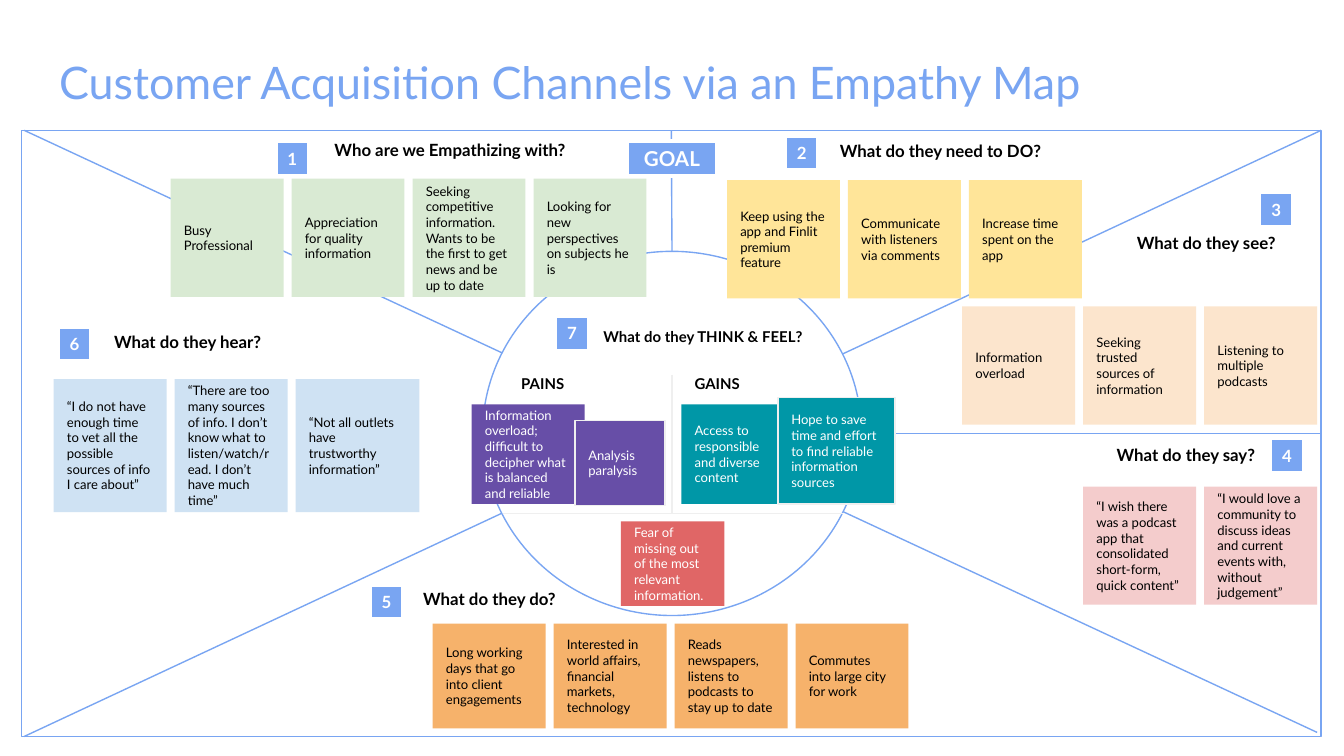
import pptx
import pptx.dml.color
import pptx.enum.shapes
import pptx.enum.text
import pptx.oxml.ns
import pptx.util
from lxml import etree

Inches = pptx.util.Inches
Pt = pptx.util.Pt
SHAPE = pptx.enum.shapes.MSO_SHAPE
ANCHOR = pptx.enum.text.MSO_ANCHOR
ALIGN = pptx.enum.text.PP_ALIGN

COLORS = {
    "blue": "79A5F2", "white": "FFFFFF", "black": "000000", "gray": "EFEFEF",
    "green": "D9EAD3", "yellow": "FFE599", "peach": "FCE5CD", "pink": "F4CCCC",
    "sky": "CFE2F3", "orange": "F6B26B", "red": "E06666", "teal": "0097A7",
    "purple": "674EA7",
}
FONT = "Lato"
FRAME = (0.16, 0.97, 9.67, 4.51)
CIRCLE = (3.59, 1.87, 2.82, 2.71)
CARD_W = 0.84
CARD_PITCH = 0.9

REGIONS = [
    {"box": (1.27, 1.33, CARD_W, 0.88), "color": "green", "number": "1",
     "badge": (0.78, -0.28), "heading": "Who are we Empathizing with?", "heading_at": (1.12, -0.29),
     "cards": ["Busy Professional", "Appreciation for quality information",
               "Seeking competitive information. Wants to be the first to get news and be up to date",
               "Looking for new perspectives on subjects he is"]},
    {"box": (5.41, 1.34, CARD_W, 0.88), "color": "yellow", "number": "2",
     "badge": (0.43, -0.33), "heading": "What do they need to DO?", "heading_at": (0.74, -0.29),
     "cards": ["Keep using the app and Finlit premium feature",
               "Communicate with listeners via comments", "Increase time spent on the app"]},
    {"box": (7.16, 2.28, CARD_W, 0.88), "color": "peach", "number": "3",
     "badge": (2.21, -0.85), "heading": "What do they see?", "heading_at": (1.2, -0.55),
     "cards": ["Information overload", "Seeking trusted sources of information",
               "Listening to multiple podcasts"]},
    {"box": (8.06, 3.62, CARD_W, 0.88), "color": "pink", "number": "4",
     "badge": (1.39, -0.36), "heading": "What do they say?", "heading_at": (0.15, -0.31),
     "cards": ["“I wish there was a podcast app that consolidated short-form, quick content”",
               "“I would love a community to discuss ideas and current events with, without judgement”"]},
    {"box": (3.22, 4.64, CARD_W, 0.78), "color": "orange", "number": "5",
     "badge": (-0.47, -0.29), "heading": "What do they do?", "heading_at": (-0.17, -0.26),
     "cards": ["Long working days that go into client engagements",
               "Interested in world affairs, financial markets, technology",
               "Reads newspapers, listens to podcasts to stay up to date",
               "Commutes into large city for work"]},
    {"box": (0.4, 2.82, CARD_W, 0.99), "color": "sky", "number": "6",
     "badge": (0.03, -0.39), "heading": "What do they hear?", "heading_at": (0.35, -0.35),
     "last_w": 0.92,
     "cards": ["“I do not have enough time to vet all the possible sources of info I care about”",
               "“There are too many sources of info. I don’t know what to listen/watch/read. "
               "I don’t have much time”",
               "“Not all outlets have trustworthy information”"]},
]

FEELINGS = [
    ((1.03, 2.01, 0.77, 0.63), "red", None, "Fear of missing out of the most relevant information."),
    ((1.48, 1.14, 0.84, 0.74), "teal", None, "Access to responsible and diverse content"),
    ((2.2, 1.09, 0.87, 0.79), "teal", "gray",
     "Hope to save time and effort to find reliable information sources"),
    ((-0.08, 1.14, 0.84, 0.74), "purple", None,
     "Information overload; difficult to decipher what is balanced and reliable"),
    ((0.69, 1.26, 0.67, 0.63), "purple", "gray", "Analysis paralysis"),
]


def rgb(name):
    return pptx.dml.color.RGBColor.from_string(COLORS[name])


def write(sp, text, size, color, bold=False, align=ALIGN.LEFT, anchor=ANCHOR.MIDDLE,
          insets=(0.1, 0.1, 0.1, 0.1)):
    tf = sp.text_frame
    tf.word_wrap = True
    tf.vertical_anchor = anchor
    tf.margin_left, tf.margin_top, tf.margin_right, tf.margin_bottom = map(Inches, insets)
    tf.text = text
    p = tf.paragraphs[0]
    p.alignment = align
    font = p.runs[0].font
    font.name, font.size, font.bold = FONT, Pt(size), bold
    font.color.rgb = rgb(color)


def add_shape(s, box, fill, line=None, width=0.75, kind=SHAPE.RECTANGLE):
    sp = s.shapes.add_shape(kind, *map(Inches, box))
    sp.shadow.inherit = False
    sp.fill.solid()
    sp.fill.fore_color.rgb = rgb(fill)
    if line:
        sp.line.color.rgb = rgb(line)
        sp.line.width = Pt(width)
    else:
        sp.line.fill.background()
    return sp


def add_line(s, start, end, color="blue"):
    cn = s.shapes.add_connector(pptx.enum.shapes.MSO_CONNECTOR.STRAIGHT,
                                *map(Inches, start + end))
    cn.line.color.rgb = rgb(color)
    cn.line.width = Pt(0.75)
    etree.SubElement(cn._element.spPr, pptx.oxml.ns.qn("a:effectLst"))
    return cn


def add_badge(s, x, y, text, w=0.25, size=9):
    sp = add_shape(s, (x, y, w, 0.26), "blue", "white", 2.25)
    write(sp, text, size, "white", True, ALIGN.CENTER, insets=(0, 0, 0, 0))


def add_heading(s, x, y, text, w=1.95, size=9):
    sp = s.shapes.add_textbox(*map(Inches, (x, y, w, 0.2)))
    write(sp, text, size, "black", True, anchor=ANCHOR.TOP, insets=(0.1, 0, 0.1, 0.1))


def add_card(s, box, fill, text, color="black", line=None):
    write(add_shape(s, box, fill, line), text, 7, color)


def add_title(s, box, text):
    sp = s.shapes.title
    sp.left, sp.top, sp.width, sp.height = map(Inches, box)
    write(sp, text, 24, "blue")


def add_map_frame(s, box, circle_box):
    x, y, w, h = box
    cx, cy, cw, ch = circle_box
    frame = add_shape(s, box, "white", "blue")
    add_line(s, (x + 0.02, y), (x + w - 0.03, y + h - 0.03))
    add_line(s, (x + 0.02, y + h), (x + w, y))
    circle = add_shape(s, circle_box, "white", "blue", kind=SHAPE.OVAL)
    spoke = add_line(s, (x + w / 2, y), (cx + cw / 2, cy))
    spoke.begin_connect(frame, 0)
    spoke.end_connect(circle, 0)
    divider = add_line(s, (cx + cw, cy + ch / 2), (x + w, y + h / 2))
    divider.end_connect(frame, 3)
    add_badge(s, x + w / 2 - 0.33, y + 0.08, "GOAL", w=0.67, size=11)


def add_center(s, box):
    x, y, w, h = box
    mid = x + w / 2
    add_line(s, (x + 0.15, y + 1.95), (x + w - 0.14, y + 1.95), "gray")
    add_line(s, (mid, y + 0.92), (mid, y + 1.95), "gray")
    add_badge(s, x + 0.54, y + 0.48, "7")
    add_heading(s, x + 0.8, y + 0.57, "What do they THINK & FEEL?", w=1.71, size=8)
    for dx, text in ((0.19, "PAINS"), (1.48, "GAINS")):
        add_heading(s, x + dx, y + 0.92, text, w=0.57, size=8)
    for (dx, dy, cw, ch), fill, line, text in FEELINGS:
        add_card(s, (x + dx, y + dy, cw, ch), fill, text, "white", line)


def add_region(s, box, region):
    x, y, w, h = box
    cards = region["cards"]
    bx, by = region["badge"]
    hx, hy = region["heading_at"]
    add_badge(s, x + bx, y + by, region["number"])
    add_heading(s, x + hx, y + hy, region["heading"])
    for i, text in enumerate(cards):
        card_w = region.get("last_w", w) if i == len(cards) - 1 else w
        add_card(s, (x + i * CARD_PITCH, y, card_w, h), region["color"], text)


def main():
    prs = pptx.Presentation()
    prs.slide_width = Inches(10)
    prs.slide_height = prs.slide_width * 9 // 16
    s = prs.slides.add_slide(prs.slide_layouts[5])
    add_title(s, (0.34, 0.29, 9.32, 0.63), "Customer Acquisition Channels via an Empathy Map")
    add_map_frame(s, FRAME, CIRCLE)
    add_center(s, CIRCLE)
    for region in REGIONS:
        add_region(s, region["box"], region)
    prs.save("out.pptx")


if __name__ == "__main__":
    main()
